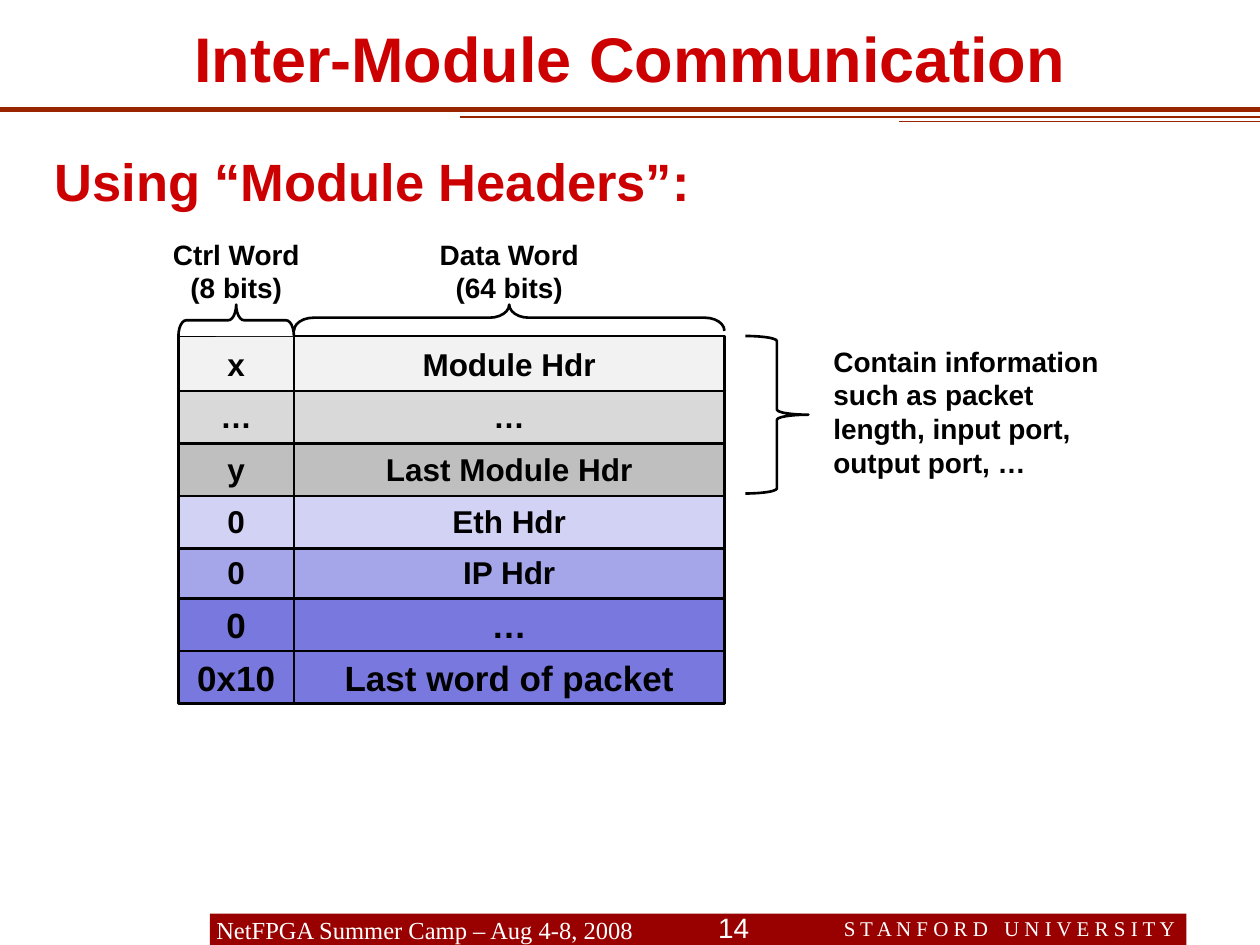
from pptx import Presentation
from pptx.dml.color import RGBColor as RGB
from pptx.enum.shapes import MSO_CONNECTOR as Conn, MSO_SHAPE as Kind
from pptx.enum.text import MSO_ANCHOR as Anchor, PP_ALIGN as Align
from pptx.oxml.ns import qn
from pptx.util import Inches, Pt
from lxml.etree import SubElement


class Theme:
    sans, serif = "Arial", "Times New Roman"
    red, rule, bar = "CC0000", "982400", "990000"
    ink, paper = "000000", "FFFFFF"
    title, head, page, label, foot, small = 36, 30, 16, 16, 14, 12
    cell, large = 18, 20
    edge = 1.5


def grid(*cols):
    """Turn grid units (12 to the inch, 120 x 90 on the slide) into lengths."""
    return [Inches(col / 12) for col in cols]


def write(box, *lines, size, font=Theme.sans, color=Theme.ink, bold=True,
          align=Align.LEFT, anchor=Anchor.TOP, pad=(0.1, 0.05, 0.1, 0.05)):
    """Fill a box with lines; a line is a string or a tuple of runs."""
    frame = box.text_frame
    frame.word_wrap = True
    frame.vertical_anchor = anchor
    (frame.margin_left, frame.margin_top,
     frame.margin_right, frame.margin_bottom) = map(Inches, pad)
    for i, line in enumerate(lines):
        para = frame.paragraphs[0] if i == 0 else frame.add_paragraph()
        para.alignment = align
        for part in (line,) if isinstance(line, str) else line:
            run = para.add_run()
            run.text = part
            run.font.size, run.font.name, run.font.bold = Pt(size), font, bold
            run.font.color.rgb = RGB.from_string(color)
            if part == " ":  # a wide gap between spaced-out words
                run.font._element.set("spc", "600")


deck = Presentation()
deck.slide_width, deck.slide_height = grid(120, 90)
slide = deck.slides.add_slide(deck.slide_layouts[6])
shapes = slide.shapes

# Footer bar, page number and school
bar = shapes.add_shape(Kind.RECTANGLE, *grid(20, 87, 93, 3))
bar.shadow.inherit = False
bar.fill.solid()
bar.fill.fore_color.rgb = RGB.from_string(Theme.bar)
bar.line.fill.background()
write(bar, "NetFPGA Summer Camp – Aug 4-8, 2008", size=Theme.foot,
      font=Theme.serif, color=Theme.paper, bold=False, anchor=Anchor.MIDDLE,
      pad=(0.05, 0, 0, 0))
write(shapes.add_textbox(*grid(63.8, 86, 13, 4)), "14", size=Theme.page,
      color=Theme.paper, bold=False, align=Align.CENTER, anchor=Anchor.MIDDLE,
      pad=(0, 0.06, 0.07, 0))
write(shapes.add_textbox(*grid(70, 86.6, 45.5, 3.6)),
      ("S T A N F O R D", " ", "U N I V E R S I T Y"), size=Theme.small,
      font=Theme.serif, color=Theme.paper, bold=False, align=Align.RIGHT,
      pad=(0.3, 0.05, 0.3, 0.05))

# Rules under the title
for left, top, width in ((0, 10.4, 3), (43.8, 11.15, 0.75), (85.6, 11.6, 0.5)):
    rule = shapes.add_connector(Conn.STRAIGHT, *grid(left, top, 120, top))
    rule.line.color.rgb = RGB.from_string(Theme.rule)
    rule.line.width = Pt(width)
    SubElement(rule._element.spPr, qn("a:effectLst"))

# Title and heading
write(shapes.add_textbox(*grid(0, 0, 120, 11)), "Inter-Module Communication",
      size=Theme.title, color=Theme.red, align=Align.CENTER,
      anchor=Anchor.MIDDLE, pad=(0.3, 0.05, 0.3, 0.05))
write(shapes.add_textbox(*grid(4, 13, 111, 10)), "Using “Module Headers”:",
      size=Theme.head, color=Theme.red, pad=(0.1, 0.1, 0.1, 0.05))

# Packet words: control, data, fill, type size, height
rows = [
    ("x", "Module Hdr", "F2F2F2", Theme.cell, 5.25),
    ("…", "…", "D9D9D9", Theme.cell, 5.25),
    ("y", "Last Module Hdr", "BFBFBF", Theme.cell, 5.25),
    ("0", "Eth Hdr", "D2D2F4", Theme.cell, 5.25),
    ("0", "IP Hdr", "A5A5E9", Theme.cell, 5),
    ("0", "…", "7878DE", Theme.large, 5),
    ("0x10", "Last word of packet", "7878DE", Theme.large, 5),
]
# Drawn from the bottom up, so each row overlaps the one below
for i, (ctrl, data, fill, size, high) in reversed(list(enumerate(rows))):
    for word, left, wide in ((data, 28, 41), (ctrl, 17, 11)):
        cell = shapes.add_shape(Kind.RECTANGLE,
                                *grid(left, 32 + 5 * i, wide, high))
        cell.shadow.inherit = False
        cell.fill.solid()
        cell.fill.fore_color.rgb = RGB.from_string(fill)
        cell.line.color.rgb = RGB.from_string(Theme.ink)
        cell.line.width = Pt(Theme.edge)
        write(cell, word, size=size, align=Align.CENTER,
              anchor=Anchor.MIDDLE, pad=(0, 0.05, 0, 0.05))

# Braces: place before turning, angle, curve
for place, turn, curve in (((71, 32, 6, 15), 0, 0.08),
                           ((47.25, 9.75, 2.5, 41), 270, 0.75),
                           ((21, 25, 3, 11), 270, 0.25)):
    brace = shapes.add_shape(Kind.RIGHT_BRACE, *grid(*place))
    brace.shadow.inherit = False
    brace.rotation = turn
    brace.adjustments[0] = curve
    brace.fill.solid()
    brace.fill.fore_color.rgb = RGB.from_string(Theme.paper)
    brace.line.color.rgb = RGB.from_string(Theme.ink)
    brace.line.width = Pt(Theme.edge)

# Labels and side note
for left, wide, name, bits in ((34, 29, "Data Word", "(64 bits)"),
                               (12, 21, "Ctrl Word", "(8 bits)")):
    write(shapes.add_textbox(*grid(left, 22, wide, 7.7)), name, bits,
          size=Theme.label, align=Align.CENTER)
write(shapes.add_textbox(*grid(78.2, 32.2, 29, 14)),
      "Contain information such as packet length, input port, output port, …",
      size=Theme.label)

deck.save("out.pptx")
